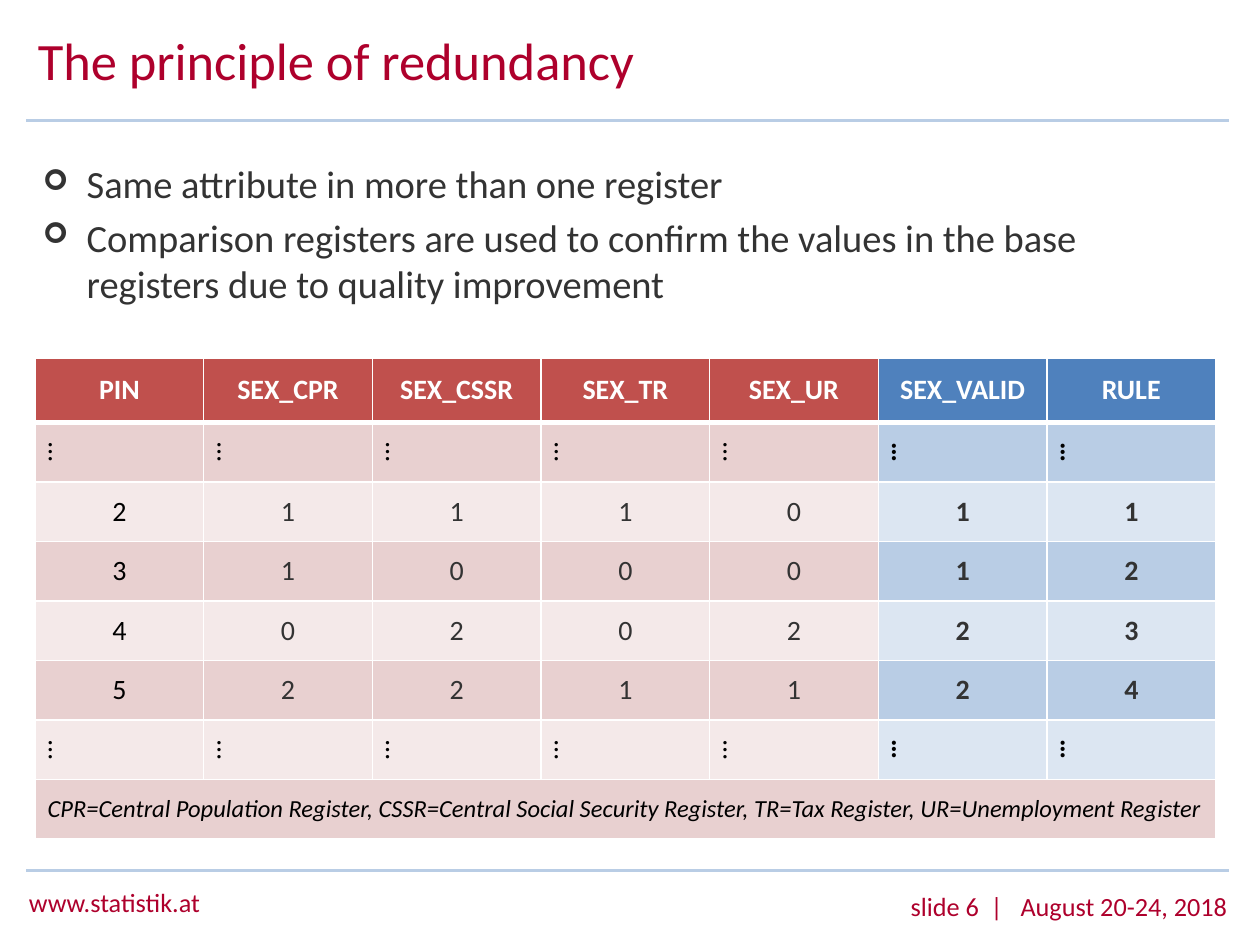
from lxml import etree
from pptx import Presentation
from pptx.dml.color import RGBColor
from pptx.enum.shapes import MSO_CONNECTOR
from pptx.enum.text import MSO_ANCHOR, PP_ALIGN
from pptx.oxml.ns import qn
from pptx.util import Pt

LEFT, MID, RIGHT = PP_ALIGN.LEFT, PP_ALIGN.CENTER, PP_ALIGN.RIGHT
TOP, CENTER = MSO_ANCHOR.TOP, MSO_ANCHOR.MIDDLE
LINE = MSO_CONNECTOR.STRAIGHT
FONT = "Calibri"
HEX = {
    "brand": "AE002C", "rule": "B9CDE5", "text": "333333",
    "black": "000000", "white": "FFFFFF",
    "red": "C0504D", "red dark": "E8D0D0", "red light": "F4E9E9",
    "blue": "4F81BD", "blue dark": "B9CDE5", "blue light": "DCE6F2",
}

TITLE = "The principle of redundancy"
POINTS = [
    "Same attribute in more than one register",
    "Comparison registers are used to confirm the values in the base "
    "registers due to quality improvement",
]
SITE = "www.statistik.at"
DATE = "slide 6  |   August 20-24, 2018"
HEAD = ["PIN", "SEX_CPR", "SEX_CSSR", "SEX_TR", "SEX_UR", "SEX_VALID", "RULE"]
DOTS = ["…"] * len(HEAD)
ROWS = [
    HEAD,
    DOTS,
    ["2", "1", "1", "1", "0", "1", "1"],
    ["3", "1", "0", "0", "0", "1", "2"],
    ["4", "0", "2", "0", "2", "2", "3"],
    ["5", "2", "2", "1", "1", "2", "4"],
    DOTS,
]
KEY = ("CPR=Central Population Register, CSSR=Central Social Security Register, "
       "TR=Tax Register, UR=Unemployment Register")
BLUE_COL = 5
COL_W, HEAD_H, ROW_H = 96.4, 37, 34


def color(name):
    return RGBColor.from_string(HEX[name])


def style(para, size, tint, align=LEFT, bold=False, italic=False):
    para.alignment = align
    for run in para.runs:
        font = run.font
        font.name, font.size = FONT, Pt(size)
        font.bold, font.italic = bold, italic
        font.color.rgb = color(tint)


def add_text(slide, box, text, size, tint, align=LEFT, anchor=TOP):
    frame = slide.shapes.add_textbox(*map(Pt, box)).text_frame
    frame.word_wrap = True
    frame.vertical_anchor = anchor
    frame.text = text
    for para in frame.paragraphs:
        style(para, size, tint, align)
    return frame


def add_rule(slide, y):
    line = slide.shapes.add_connector(LINE, Pt(15), Pt(y), Pt(702), Pt(y))
    line.line.color.rgb = color("rule")
    line.line.width = Pt(1.5)
    etree.SubElement(line._element.spPr, qn("a:effectLst"))


def add_bullet(para):
    props = para._p.get_or_add_pPr()
    props.set("marL", str(Pt(57)))
    props.set("indent", str(Pt(-25)))
    etree.SubElement(props, qn("a:buSzPct"), val="75000")
    etree.SubElement(props, qn("a:buFont"), typeface="Wingdings")
    etree.SubElement(props, qn("a:buChar"), char="➢")


def add_edges(cell, heavy):
    props = cell._tc.get_or_add_tcPr()
    for side in "LRTB":
        width = 3 if side == heavy else 1
        edge = etree.SubElement(props, qn(f"a:ln{side}"), w=str(Pt(width)))
        fill = etree.SubElement(edge, qn("a:solidFill"))
        etree.SubElement(fill, qn("a:srgbClr"), val=HEX["white"])
    return props


def paint(cell, row, col):
    heavy = {0: "B", 1: "T"}.get(row)
    props = add_edges(cell, heavy)
    hue = "blue" if col >= BLUE_COL and row < len(ROWS) else "red"
    shade = "" if row == 0 else " dark" if row % 2 else " light"
    cell.fill.solid()
    cell.fill.fore_color.rgb = color(hue + shade)
    cell.vertical_anchor = CENTER
    return props


def add_grid(slide):
    rows, cols = len(ROWS) + 1, len(HEAD)
    size = (COL_W * cols, HEAD_H + ROW_H * len(ROWS))
    table = slide.shapes.add_table(rows, cols, Pt(20), Pt(204.5), *map(Pt, size)).table
    table.first_row = table.horz_banding = False
    for col in table.columns:
        col.width = Pt(COL_W)
    for row, line in enumerate(table.rows):
        line.height = Pt(ROW_H if row else HEAD_H)
    table.cell(rows - 1, 0).merge(table.cell(rows - 1, cols - 1))
    for row in range(rows):
        for col in range(cols):
            props = paint(table.cell(row, col), row, col)
            if row < len(ROWS) and ROWS[row] is DOTS:
                props.set("vert", "vert")
    for row, words in enumerate(ROWS):
        for col, word in enumerate(words):
            para = table.cell(row, col).text_frame.paragraphs[0]
            para.text = word
            dark = col == 0 or words is DOTS
            tint = "white" if row == 0 else "black" if dark else "text"
            style(para, 16, tint, MID, bold=row == 0 or col >= BLUE_COL)
    para = table.cell(rows - 1, 0).text_frame.paragraphs[0]
    para.text = KEY
    style(para, 14, "black", italic=True)


def main():
    deck = Presentation()
    deck.slide_width, deck.slide_height = Pt(720), Pt(540)
    slide = deck.slides.add_slide(deck.slide_layouts[6])
    add_text(slide, (9.5, 503, 163, 25), SITE, 15, "brand")
    add_text(slide, (409, 505, 299.5, 25), DATE, 15, "brand", RIGHT)
    for y in (69, 497.5):
        add_rule(slide, y)
    title = add_text(slide, (14.5, 18, 549, 38), TITLE, 30, "brand", anchor=CENTER)
    title.paragraphs[0].line_spacing = Pt(30)
    body = add_text(slide, (-14.5, 88, 703, 356), "\n".join(POINTS), 22, "text")
    for i, para in enumerate(body.paragraphs):
        add_bullet(para)
        para.space_before = Pt(4.4 if i else 0)
    add_grid(slide)
    deck.save("out.pptx")


if __name__ == "__main__":
    main()
